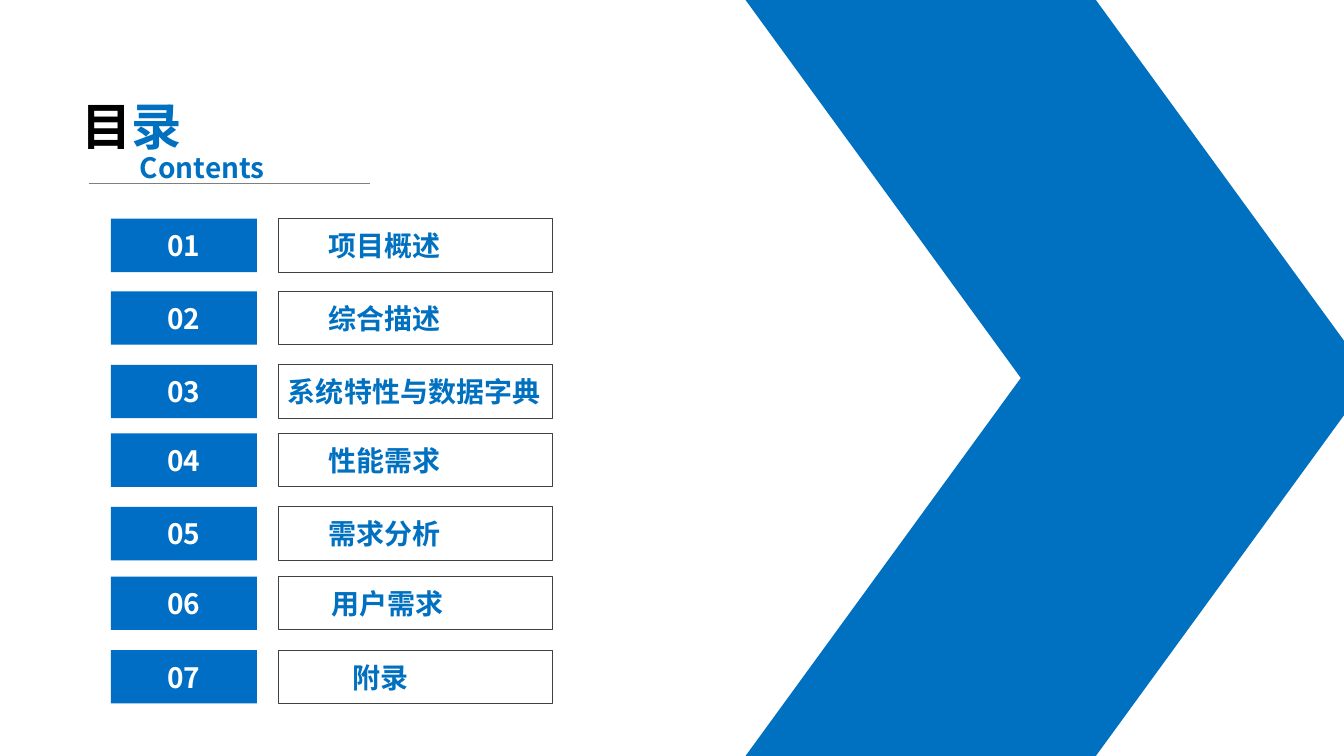
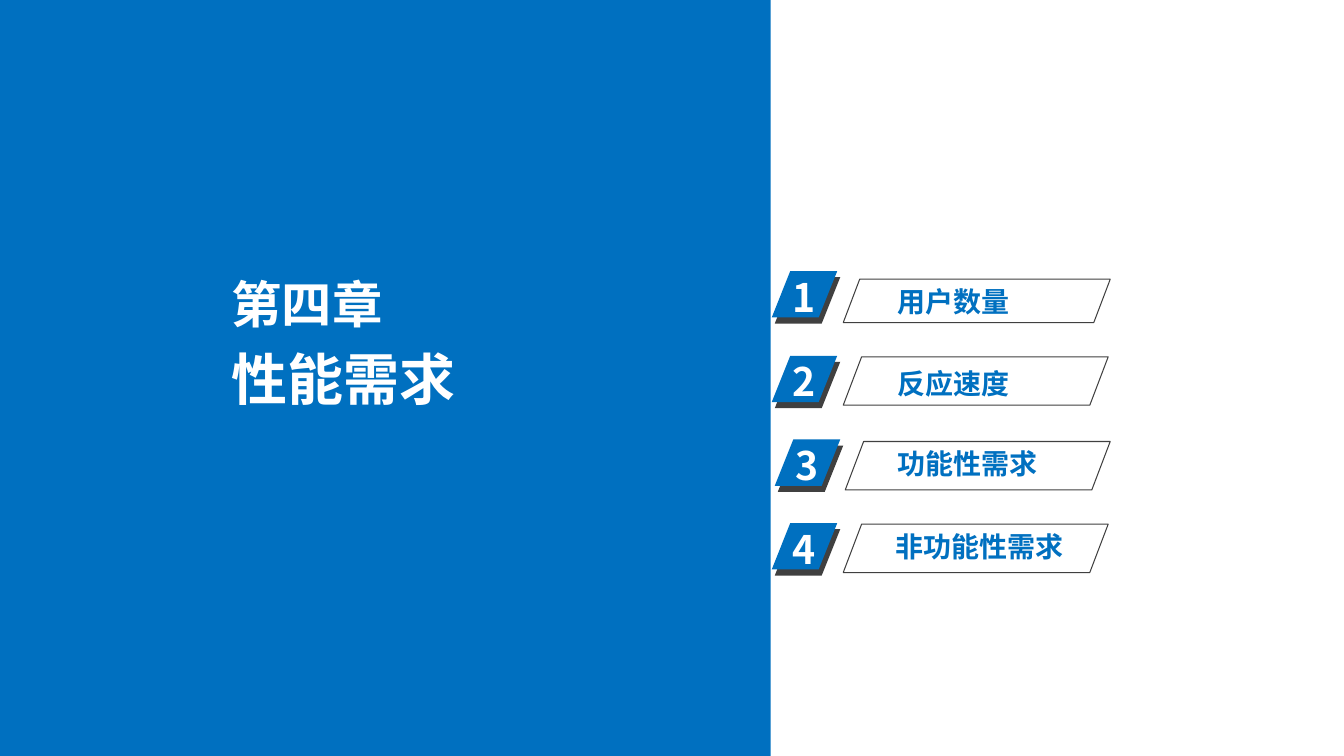
from lxml.etree import SubElement
from pptx import Presentation
from pptx.dml.color import RGBColor
from pptx.enum.shapes import MSO_CONNECTOR, MSO_SHAPE as SHAPE
from pptx.enum.text import MSO_ANCHOR as ANCHOR, MSO_AUTO_SIZE, PP_ALIGN as ALIGN
from pptx.oxml.ns import qn
from pptx.util import Inches, Pt

FONT = "Noto Sans CJK SC"
BLUE = RGBColor(0x00, 0x70, 0xC0)
TILE_BLUE = RGBColor(0x00, 0x6E, 0xC5)
DARK = RGBColor(0x40, 0x40, 0x40)
GRAY = RGBColor(0x7F, 0x7F, 0x7F)
BLACK = RGBColor(0x00, 0x00, 0x00)
WHITE = RGBColor(0xFF, 0xFF, 0xFF)

CONTENTS = [
    (2.17, "项目概述", 0.5),
    (2.89, "综合描述", 0.5),
    (3.62, "系统特性与数据字典", 0.1),
    (4.3, "性能需求", 0.5),
    (5.03, "需求分析", 0.5),
    (5.72, "用户需求", 0.53),
    (6.45, "附录", 0.74),
]

SECTIONS = [
    ("用户数量", (7.66, 2.69), (8.37, 2.77, 2.65, 0.43), (8.81, 2.77)),
    ("反应速度", (7.66, 3.53), (8.37, 3.54, 2.63, 0.48), (8.81, 3.59)),
    ("功能性需求", (7.69, 4.36), (8.39, 4.38, 2.63, 0.48), (8.81, 4.38)),
    ("非功能性需求", (7.66, 5.19), (8.37, 5.2, 2.63, 0.48), (8.79, 5.2)),
]


def write(tf, *runs, size=20, align=ALIGN.LEFT, anchor=ANCHOR.TOP, left=0.1, right=0.1):
    """Fill a text frame with one bold paragraph of (text, colour) runs."""
    tf.word_wrap = True
    tf.auto_size = MSO_AUTO_SIZE.NONE
    tf.vertical_anchor = anchor
    tf.margin_left, tf.margin_right = Inches(left), Inches(right)
    tf.margin_top = tf.margin_bottom = Inches(0.05)
    p = tf.paragraphs[0]
    p.alignment = align
    p.line_spacing = 1.0
    for text, color in runs:
        r = p.add_run()
        r.text = text
        r.font.name = FONT
        r.font.size = Pt(size)
        r.font.bold = True
        r.font.color.rgb = color
        SubElement(r._r.get_or_add_rPr(), qn("a:ea"), typeface=FONT)


def add_text(slide, at, *runs, **fmt):
    """Add a text box at (left, top, width, height) in inches."""
    box = slide.shapes.add_textbox(*map(Inches, at))
    write(box.text_frame, *runs, **fmt)


def add_title(slide, at, *runs, **fmt):
    """Place and format the title in front of the shapes drawn so far."""
    title = slide.shapes.title
    title.left, title.top, title.width, title.height = map(Inches, at)
    write(title.text_frame, *runs, **fmt)
    slide.shapes._spTree.append(title._element)


def add_box(slide, kind, at, fill=None, line=None, adj=None):
    """Add a preset shape with an optional fill, outline and adjustment."""
    sp = slide.shapes.add_shape(kind, *map(Inches, at))
    sp.shadow.inherit = False
    if adj is not None:
        sp.adjustments[0] = adj
    if fill is None:
        sp.fill.background()
    else:
        sp.fill.solid()
        sp.fill.fore_color.rgb = fill
    if line is None:
        sp.line.fill.background()
    else:
        sp.line.color.rgb = line
        sp.line.width = Pt(0.75)
    return sp


def add_rule(slide, left, right, y):
    """Add a thin horizontal rule."""
    rule = slide.shapes.add_connector(
        MSO_CONNECTOR.STRAIGHT, Inches(left), Inches(y), Inches(right), Inches(y))
    rule.line.color.rgb = GRAY
    rule.line.width = Pt(0.5)
    SubElement(rule._element.spPr, qn("a:effectLst"))


def add_contents_row(slide, number, top, label, indent):
    """Add a numbered tile and the framed label beside it."""
    frame = add_box(slide, SHAPE.RECTANGLE, (2.76, top, 2.72, 0.53), line=DARK)
    write(frame.text_frame, (label, BLUE), anchor=ANCHOR.MIDDLE, left=indent, right=0)
    tile = add_box(slide, SHAPE.RECTANGLE, (1.1, top, 1.45, 0.53), fill=TILE_BLUE)
    write(tile.text_frame, (f"{number:02d}", WHITE), align=ALIGN.CENTER,
          anchor=ANCHOR.MIDDLE)


def add_section_row(slide, number, label, tile, frame, label_at):
    """Add a slanted number tile with its dark edge and a slanted label frame."""
    x, y = tile
    for dx, dy, color in ((0.03, 0.06, DARK), (0, 0, BLUE)):
        add_box(slide, SHAPE.PARALLELOGRAM, (x + dx, y + dy, 0.65, 0.46),
                fill=color, adj=0.4)
    add_text(slide, (x + 0.11, y - 0.03, 0.69, 0.57), (str(number), WHITE), size=28)
    add_box(slide, SHAPE.PARALLELOGRAM, frame, line=DARK, adj=0.38)
    add_text(slide, (*label_at, 3.03, 0.44), (label, BLUE))


def build_contents(slide):
    """Build the table of contents."""
    add_box(slide, SHAPE.CHEVRON, (7.4, 0, 6.21, 7.5), fill=BLUE, adj=0.44)
    add_title(slide, (0.71, 0.89, 1.57, 0.7), ("目", BLACK), ("录", BLUE), size=36)
    add_rule(slide, 0.88, 3.67, 1.82)
    add_text(slide, (1.29, 1.44, 1.57, 0.44), ("Contents", BLUE))
    for number, row in enumerate(CONTENTS, 1):
        add_contents_row(slide, number, *row)


def build_chapter(slide):
    """Build the chapter opener with its list of sections."""
    add_box(slide, SHAPE.RECTANGLE, (0, 0, 7.65, 7.5), fill=BLUE)
    add_text(slide, (2.2, 2.66, 1.81, 0.7), ("第四章", WHITE), size=36)
    add_title(slide, (2.2, 3.37, 3.77, 0.77), ("性能需求", WHITE), size=40)
    for number, row in enumerate(SECTIONS, 1):
        add_section_row(slide, number, *row)


def main():
    """Build and save the presentation."""
    prs = Presentation()
    prs.slide_width, prs.slide_height = Inches(13.34), Inches(7.5)
    title_only = prs.slide_layouts[5]
    for build in (build_contents, build_chapter):
        build(prs.slides.add_slide(title_only))
    prs.save("out.pptx")


if __name__ == "__main__":
    main()
